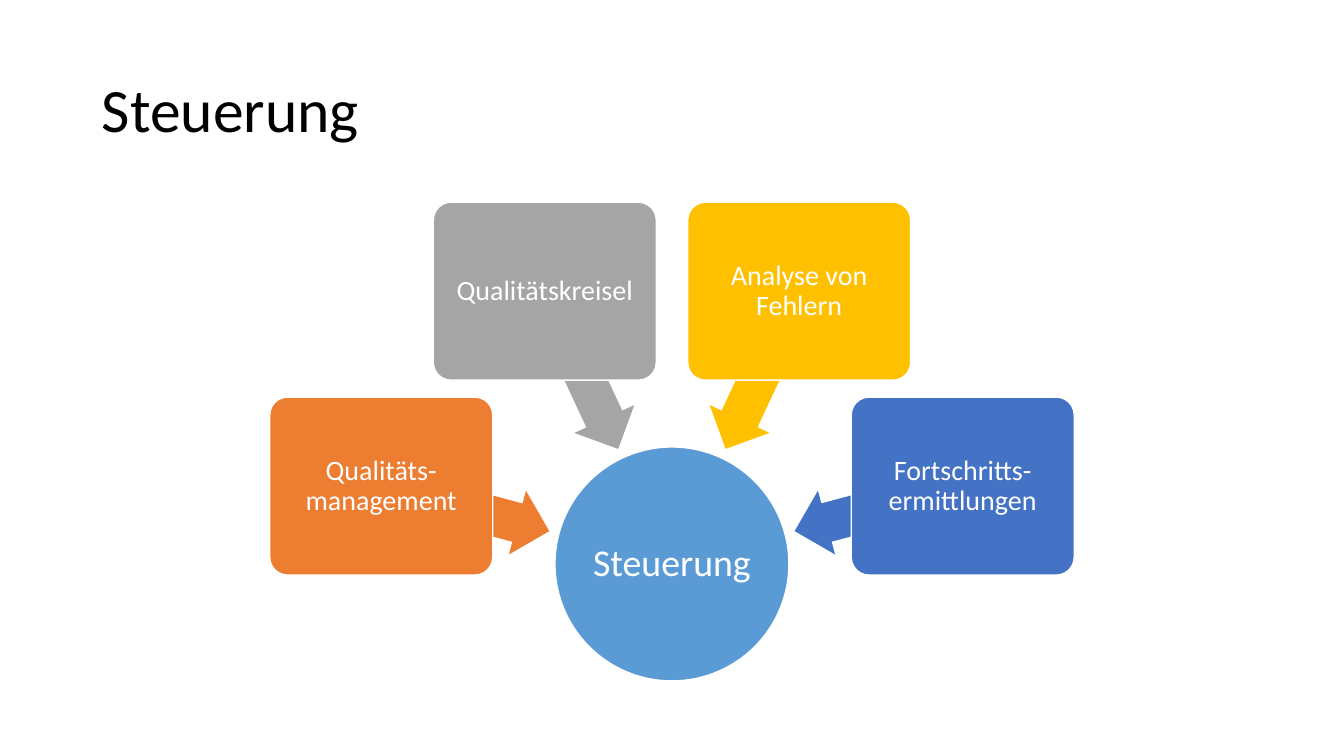
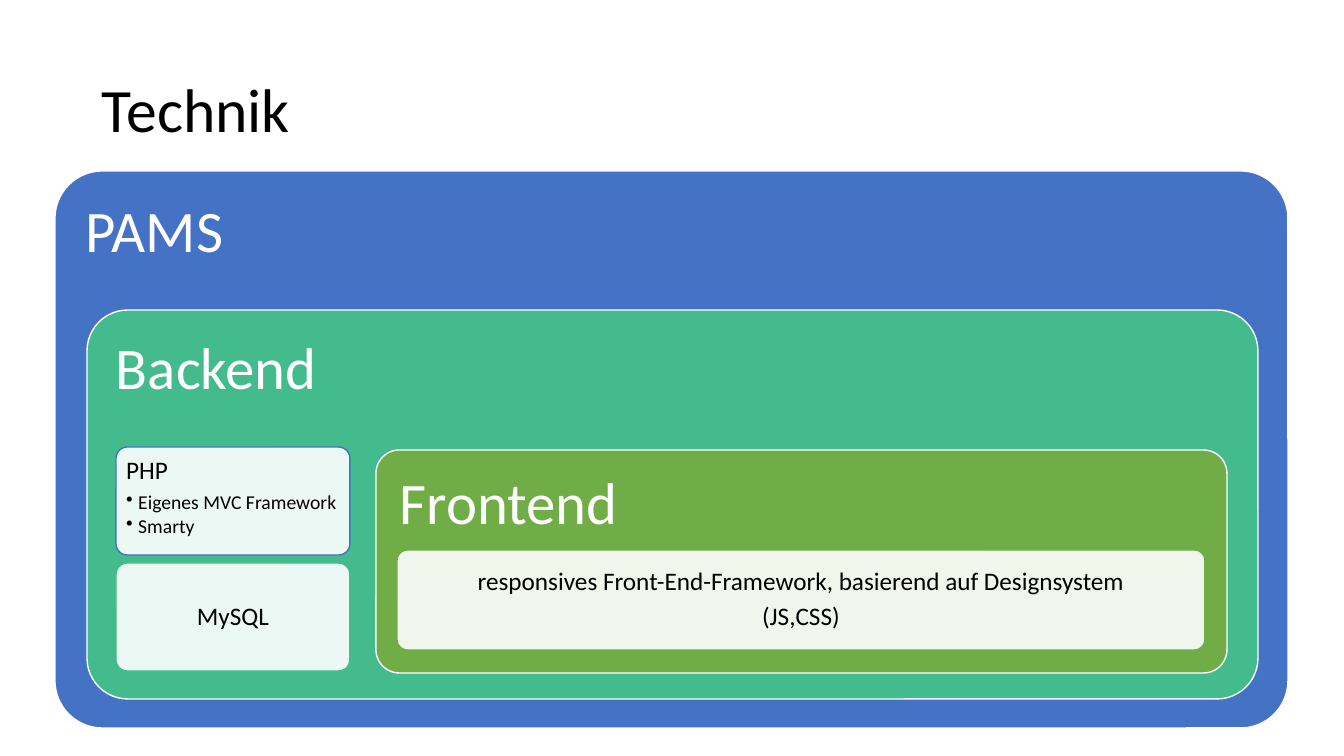
"""Build two slides: steering factors around a hub, and nested layers of a technical stack."""
import math

from lxml import etree
from pptx import Presentation, util as u
from pptx.dml.color import RGBColor
from pptx.enum import shapes, text
from pptx.oxml import ns

W, H = 1344, 756
SCALE = 12192000 / W
FONT = "Calibri"
WHITE, BLACK, BLUE, GREEN, LIME = "FFFFFF", "000000", "4472C4", "43BB8D", "70AD47"
TITLE_BOX = (92, 40, 1159, 146)

HUB = ("Steuerung", "5B9BD5")
HUB_X, HUB_Y, HUB_SIZE = W // 2, 564, 234
FACTORS = [
    ("Qualitäts- management", "ED7D31"),
    ("Qualitätskreisel", "A5A5A5"),
    ("Analyse von Fehlern", "FFC000"),
    ("Fortschritts-ermittlungen", BLUE),
]
FIRST_ANGLE, ANGLE_STEP = 195, 50
BOX_RADIUS, BOX_W, BOX_H = 301, 223, 178
ARROW_RADIUS, ARROW_W, ARROW_H = 214, 174, 66

LAYERS = [
    ("PAMS", (55, 171, 1233, 557), BLUE, 0.085),
    ("Backend", (87, 310, 1171, 389), GREEN, 0.105),
    ("Frontend", (376, 450, 851, 223), LIME, 0.105),
]
CARDS = [
    (["PHP"], ["Eigenes MVC Framework", "Smarty"], (116, 447, 234, 108), BLUE),
    (["MySQL"], [], (116, 563, 234, 108), GREEN),
    (["responsives Front-End-Framework, basierend auf Designsystem", "(JS,CSS)"], [],
     (397, 550, 808, 100), LIME),
]


def px(n):
    return u.Emu(round(n * SCALE))


def rgb(value):
    return RGBColor.from_string(value)


def place(sp, box):
    sp.left, sp.top, sp.width, sp.height = map(px, box)


def centred(x, y, w, h):
    return x - w / 2, y - h / 2, w, h


def add_slide(prs, title):
    s = prs.slides.add_slide(prs.slide_layouts[5])
    sp = s.shapes.title
    place(sp, TITLE_BOX)
    write(sp, [title], 44, BLACK, inset=10)
    return s


def add_shape(s, kind, box, fill, line=None, adj=()):
    sp = s.shapes.add_shape(kind, *map(px, box))
    sp.shadow.inherit = False
    for i, value in enumerate(adj):
        sp.adjustments[i] = value
    sp.fill.solid()
    sp.fill.fore_color.rgb = rgb(fill)
    if line:
        sp.line.color.rgb = rgb(line)
        sp.line.width = u.Pt(1)
    else:
        sp.line.fill.background()
    return sp


def make_translucent(sp, percent):
    color = sp.fill._xPr.find(ns.qn("a:solidFill"))[0]
    etree.SubElement(color, ns.qn("a:alpha"), val=str(percent * 1000))


def style(p, size, color, align, after):
    p.alignment = align
    p.line_spacing = 0.9
    p.space_after = u.Pt(after)
    for r in p.runs:
        r.font.name = FONT
        r.font.size = u.Pt(size)
        r.font.color.rgb = rgb(color)


def write(sp, lines, size, color, inset, align=text.PP_ALIGN.LEFT,
          anchor=text.MSO_ANCHOR.MIDDLE, after=0):
    tf = sp.text_frame
    tf.word_wrap = True
    tf.auto_size = text.MSO_AUTO_SIZE.NONE
    tf.vertical_anchor = anchor
    tf.margin_left = tf.margin_top = tf.margin_right = tf.margin_bottom = px(inset)
    tf.text = "\n".join(lines)
    for p in tf.paragraphs:
        style(p, size, color, align, after)


def add_bullet(tf, line):
    p = tf.add_paragraph()
    p.text = line
    pPr = p._p.get_or_add_pPr()
    pPr.set("marL", str(px(12)))
    pPr.set("indent", str(-px(12)))
    etree.SubElement(pPr, ns.qn("a:buChar"), char="•")
    style(p, 14, BLACK, text.PP_ALIGN.LEFT, 2)


def build_steering(prs):
    s = add_slide(prs, "Steuerung")
    label, color = HUB
    hub = add_shape(s, shapes.MSO_SHAPE.OVAL, centred(HUB_X, HUB_Y, HUB_SIZE, HUB_SIZE),
                    color, WHITE)
    write(hub, [label], 27, WHITE, 2, text.PP_ALIGN.CENTER)
    for i, (label, color) in enumerate(FACTORS):
        angle = FIRST_ANGLE + i * ANGLE_STEP
        dx, dy = math.cos(math.radians(angle)), math.sin(math.radians(angle))
        arrow = add_shape(s, shapes.MSO_SHAPE.LEFT_ARROW,
                          centred(HUB_X + ARROW_RADIUS * dx, HUB_Y + ARROW_RADIUS * dy,
                                  ARROW_W, ARROW_H), color, adj=(0.6, 0.5))
        arrow.rotation = angle
        box = add_shape(s, shapes.MSO_SHAPE.ROUNDED_RECTANGLE,
                        centred(HUB_X + BOX_RADIUS * dx, HUB_Y + BOX_RADIUS * dy,
                                BOX_W, BOX_H), color, WHITE, (0.1,))
        write(box, [label], 20, WHITE, 4, text.PP_ALIGN.CENTER)


def build_stack(prs):
    s = add_slide(prs, "Technik")
    for label, box, color, corner in LAYERS:
        layer = add_shape(s, shapes.MSO_SHAPE.ROUNDED_RECTANGLE, box, color, WHITE, (corner,))
        write(layer, [label], 42, WHITE, 17, anchor=text.MSO_ANCHOR.TOP)
    for lines, bullets, box, color in CARDS:
        card = add_shape(s, shapes.MSO_SHAPE.ROUNDED_RECTANGLE, box, WHITE, color, (0.105,))
        make_translucent(card, 90)
        align = text.PP_ALIGN.LEFT if bullets else text.PP_ALIGN.CENTER
        anchor = text.MSO_ANCHOR.TOP if bullets else text.MSO_ANCHOR.MIDDLE
        write(card, lines, 18, BLACK, 7, align, anchor, 6 if bullets or len(lines) > 1 else 0)
        for line in bullets:
            add_bullet(card.text_frame, line)


def main():
    prs = Presentation()
    prs.slide_width, prs.slide_height = px(W), px(H)
    build_steering(prs)
    build_stack(prs)
    prs.save("out.pptx")


if __name__ == "__main__":
    main()
